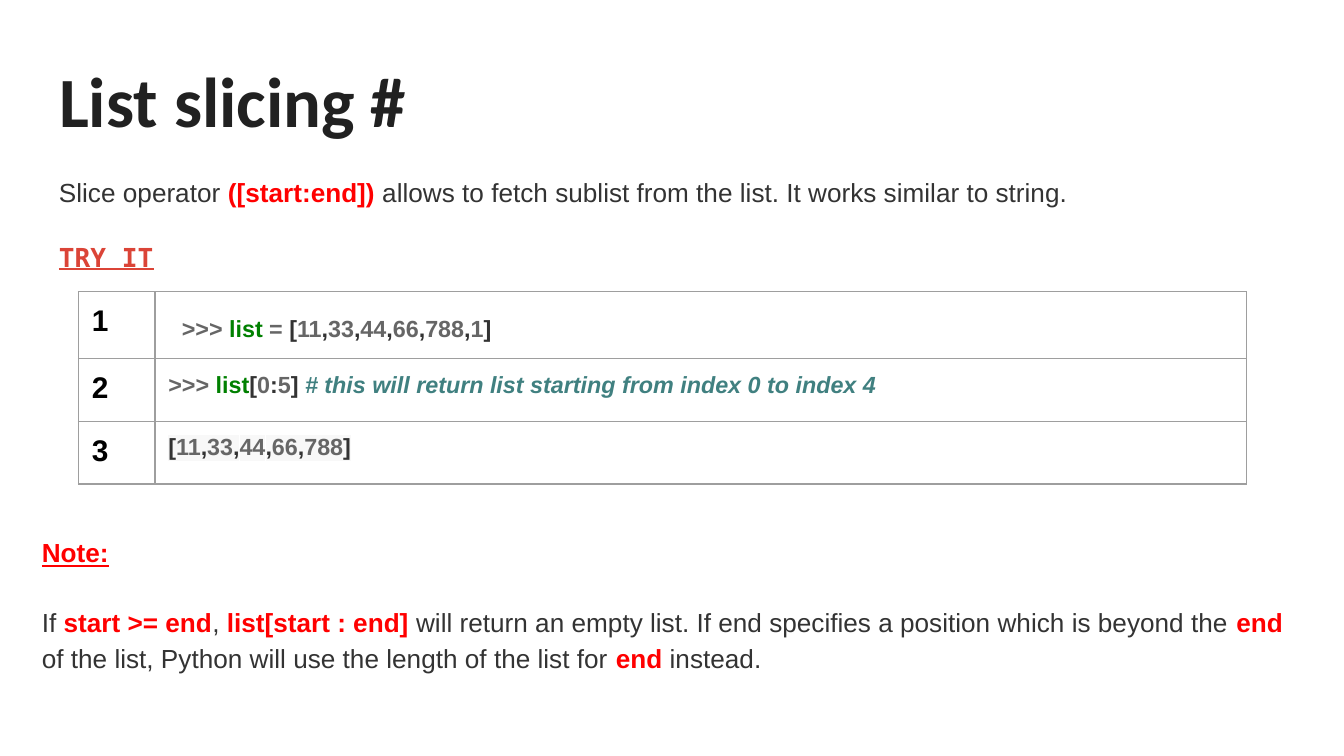
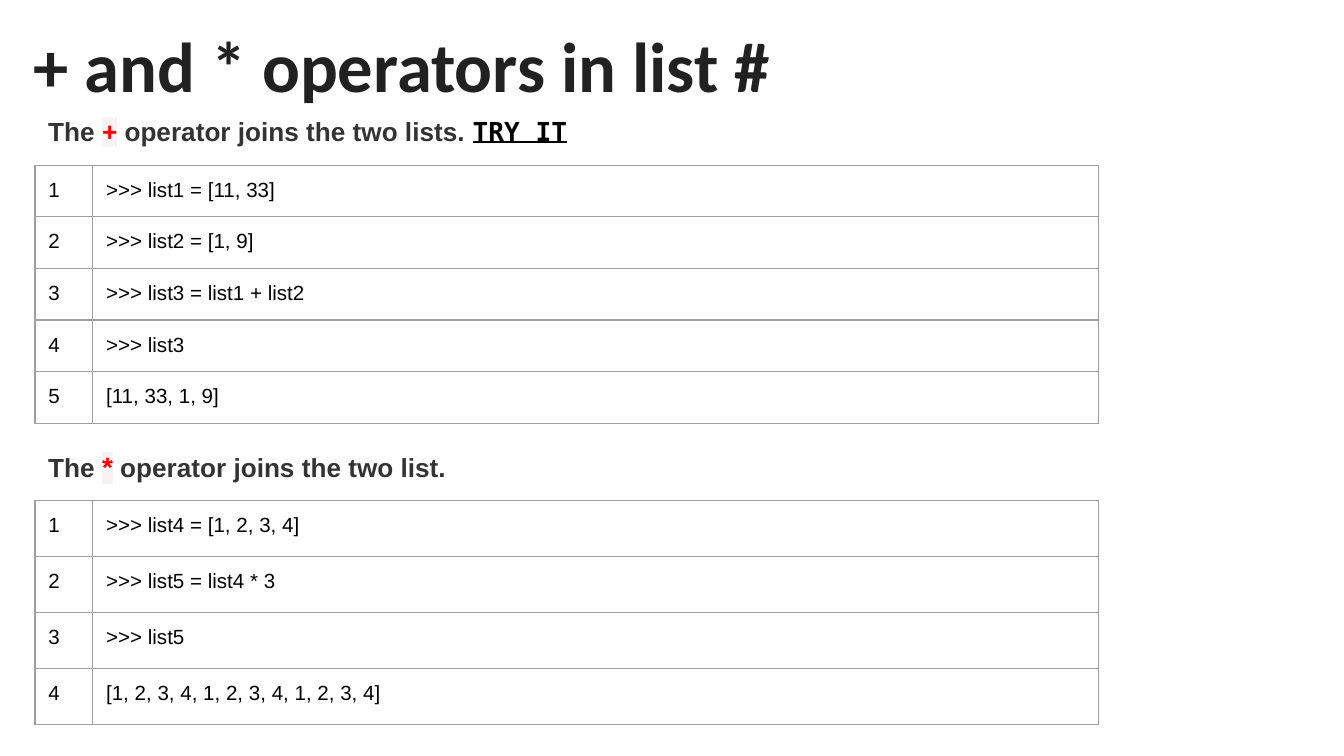
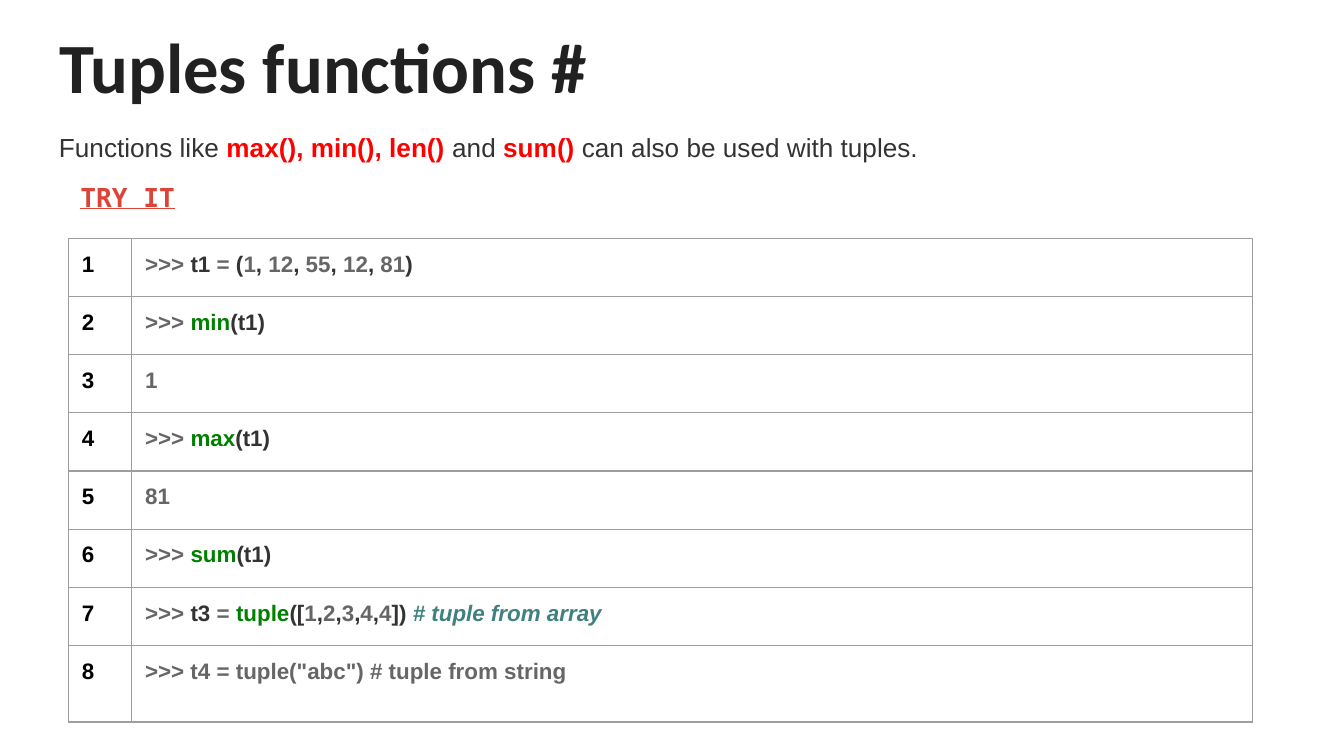
from pptx import Presentation
from pptx.dml.color import RGBColor as RGB
from pptx.enum.text import MSO_ANCHOR as ANCHOR, MSO_AUTO_SIZE as AUTO, PP_ALIGN as ALIGN
from pptx.oxml import parse_xml
from pptx.oxml.ns import nsdecls
from pptx.util import Inches, Pt

COLORS = {
    "title": "212121", "text": "333333", "key": "FF0000", "try": "DB4437",
    "black": "000000", "gray": "666666", "name": "008000", "comment": "408080",
    "grid": "9E9E9E", "key_back": "F9F2F4", "output_back": "F8F8F8",
}
MONO = "DejaVu Sans Mono"
NS = nsdecls("a")

# A "~" and one of these letters switches the style of the text that follows.
STYLES = {
    "t": dict(color="text"),
    "d": dict(color="text", bold=True),
    "r": dict(color="key", bold=True),
    "o": dict(color="key", bold=True, back="key_back"),
    "s": dict(color="key", bold=True, back="key_back", size=15),
    "u": dict(color="key", bold=True, underline=True),
    "l": dict(color="try", bold=True, underline=True, font=MONO),
    "L": dict(color="black", bold=True, underline=True, font=MONO),
    "p": dict(color="black"),
    "b": dict(color="black", bold=True),
    "g": dict(color="gray", bold=True),
    "n": dict(color="name", bold=True),
    "c": dict(color="comment", bold=True, italic=True),
    "h": dict(color="title", bold=True, font="Calibri"),
}


def numbers(values, gap=","):
    """Mark up a row of gray numbers parted by dark commas."""
    return f"~d{gap}".join(f"~g{v}" for v in values)


def add_run(p, text, color, size, font="Arial", bold=False, italic=False,
            underline=False, back=None):
    r = p.add_run()
    r.text = text
    f = r.font
    f.name, f.size, f.bold, f.italic, f.underline = font, Pt(size), bold, italic, underline
    f.color.rgb = RGB.from_string(COLORS[color])
    for script in ("cs", "ea"):
        r._r.rPr.find("{*}latin").addnext(parse_xml(f'<a:{script} {NS} typeface="{font}"/>'))
    if back:
        mark = parse_xml(f'<a:highlight {NS}><a:srgbClr val="{COLORS[back]}"/></a:highlight>')
        r._r.rPr.find("{*}solidFill").addnext(mark)


def end_paragraph(p, size):
    """Give the paragraph mark the text font, so it does not heighten the line."""
    faces = "".join(f'<a:{script} typeface="Arial"/>' for script in ("latin", "ea", "cs"))
    p._p.append(parse_xml(f'<a:endParaRPr {NS} sz="{int(size * 100)}">{faces}</a:endParaRPr>'))


def write(tf, text, size=14, spacings=(), before=18, margin=0, indent=0, back=None):
    """Fill a text frame from marked-up text, one paragraph per line."""
    tf.word_wrap = True
    for i, line in enumerate(text.split("\n")):
        p = tf.add_paragraph() if i else tf.paragraphs[0]
        p.alignment = ALIGN.LEFT
        if i < len(spacings):
            p.line_spacing = spacings[i]
        if i:
            p.space_before = Pt(before)
        if margin or indent:
            pPr = p._p.get_or_add_pPr()
            pPr.set("marL", str(Inches(margin)))
            pPr.set("indent", str(Inches(indent)))
        for part in line.split("~")[1:]:
            add_run(p, part[1:], **{"size": size, "back": back, **STYLES[part[0]]})
        end_paragraph(p, size)


class Deck:
    """Boxes are left, top, width, height in grid cells: 100 columns across the slide."""

    def __init__(self):
        self.prs = Presentation()
        self.prs.slide_width = Inches(10)
        self.prs.slide_height = self.prs.slide_width * 9 // 16
        self.cell = self.prs.slide_width // 100
        self.inset = self.cell
        self.slide = None

    def units(self, *cells):
        return [int(n * self.cell) for n in cells]

    def pad(self, obj):
        obj.margin_left = obj.margin_right = obj.margin_top = obj.margin_bottom = self.inset

    def add_slide(self, title, left, top):
        self.slide = self.prs.slides.add_slide(self.prs.slide_layouts[5])
        sp = self.slide.shapes.title
        sp.left, sp.top, sp.width, sp.height = self.units(left, top, 93.2, 8.8)
        tf = sp.text_frame
        self.pad(tf)
        tf.auto_size, tf.vertical_anchor = AUTO.NONE, ANCHOR.TOP
        write(tf, "~h" + title, size=37.8)

    def text(self, box, text, **fmt):
        tf = self.slide.shapes.add_textbox(*self.units(*box)).text_frame
        self.pad(tf)
        write(tf, text, **fmt)

    def code(self, left, top, widths, heights, lines, size, number="~b", number_size=None):
        """Table of numbered code lines; a line may be a pair of text and format."""
        box = self.units(left, top, sum(widths), sum(heights))
        table = self.slide.shapes.add_table(len(lines), 2, *box).table
        table.first_row = table.horz_banding = False
        for column, width in zip(table.columns, self.units(*widths)):
            column.width = width
        for i, (row, height, line) in enumerate(zip(table.rows, self.units(*heights), lines), 1):
            row.height = height
            text, fmt = line if isinstance(line, tuple) else (line, {})
            write(row.cells[0].text_frame, f"{number}{i}", size=number_size or size)
            write(row.cells[1].text_frame, text, size=size, **fmt)
            for cell in row.cells:
                self.pad(cell)
                cell.fill.background()
                self.border(cell)

    def border(self, cell):
        tcPr = cell._tc.get_or_add_tcPr()
        for i, side in enumerate("LRTB"):
            tcPr.insert(i, parse_xml(
                f'<a:ln{side} {NS} w="{Pt(0.75)}"><a:solidFill>'
                f'<a:srgbClr val="{COLORS["grid"]}"/></a:solidFill></a:ln{side}>'))


def slicing_slide(deck):
    deck.add_slide("List slicing #", 3.4, 3.25)
    deck.text((3.4, 11.8, 93.2, 8.8),
              "~tSlice operator ~r([start:end]) ~tallows to fetch sublist from the list. "
              "It works similar to string.\n~lTRY IT", spacings=[1.15])
    items = [11, 33, 44, 66, 788]
    deck.code(5.83, 21.7, (5.7, 81.2), [4.7, 4.67, 4.67], [
        (f"~g>>> ~nlist ~g=~d [{numbers(items + [1])}~d]", dict(margin=0.1, spacings=[1.43])),
        "~g>>> ~nlist~d[~g0~d:~g5~d] ~c# this will return list starting from index 0 to index 4",
        (f"~d[{numbers(items)}~d]", dict(back="output_back")),
    ], size=12.5, number_size=16)
    deck.text((2.13, 38.6, 95.9, 11.9),
              "~uNote:\n~tIf ~rstart >= end~t, ~rlist[start : end] ~twill return an empty list. "
              "If end specifies a position which is beyond the ~rend ~tof the list, "
              "Python will use the length of the list for ~rend ~tinstead.",
              spacings=[1.15, 1.15])


def operators_slide(deck):
    deck.add_slide("+ and * operators in list #", 1.5, 0.6)
    sections = [
        (7.2, "~dThe ~o+~d operator joins the two lists. ~LTRY IT", 12.3, 3.7,
         [">>> list1 = [11, 33]", ">>> list2 = [1, 9]", ">>> list3 = list1 + list2",
          ">>> list3", "[11, 33, 1, 9]"]),
        (32.1, "~dThe ~s*~d operator joins the two list.", 37.23, 4.17,
         [">>> list4 = [1, 2, 3, 4]", ">>> list5 = list4 * 3", ">>> list5",
          "[1, 2, 3, 4, 1, 2, 3, 4, 1, 2, 3, 4]"]),
    ]
    for text_top, intro, top, height, lines in sections:
        deck.text((2.6, text_top, 93.2, 5.8), intro, spacings=[1.15])
        deck.code(2.6, top, (4.3, 74.85), [height] * len(lines),
                  ["~p" + line for line in lines], size=11, number="~p")


def tuples_slide(deck):
    deck.add_slide("Tuples functions #", 3.4, 0.7)
    deck.text((3.4, 8.4, 93.2, 4.5),
              "~tFunctions like ~rmax(), min(), len()~t and ~rsum()~t can also be used with tuples.",
              spacings=[1.15])

    def call(name):
        return f"~g>>> ~n{name}~d(t1)"

    deck.code(5.1, 17.74, (4.7, 83.4), [4.33] * 7 + [5.7], [
        f"~g>>>~d t1 ~g=~d ({numbers([1, 12, 55, 12, 81], ', ')}~d)",
        call("min"), "~g1", call("max"), "~g81", call("sum"),
        f"~g>>>~d t3 ~g= ~ntuple~d([{numbers([1, 2, 3, 4, 4])}~d]) ~c# tuple from array",
        '~g>>> t4 = tuple("abc") # tuple from string',
    ], size=12)
    deck.text((0, 12.5, 32.8, 4.4), "~lTRY IT", indent=0.5)


def main():
    deck = Deck()
    for build in (slicing_slide, operators_slide, tuples_slide):
        build(deck)
    deck.prs.save("out.pptx")


if __name__ == "__main__":
    main()
